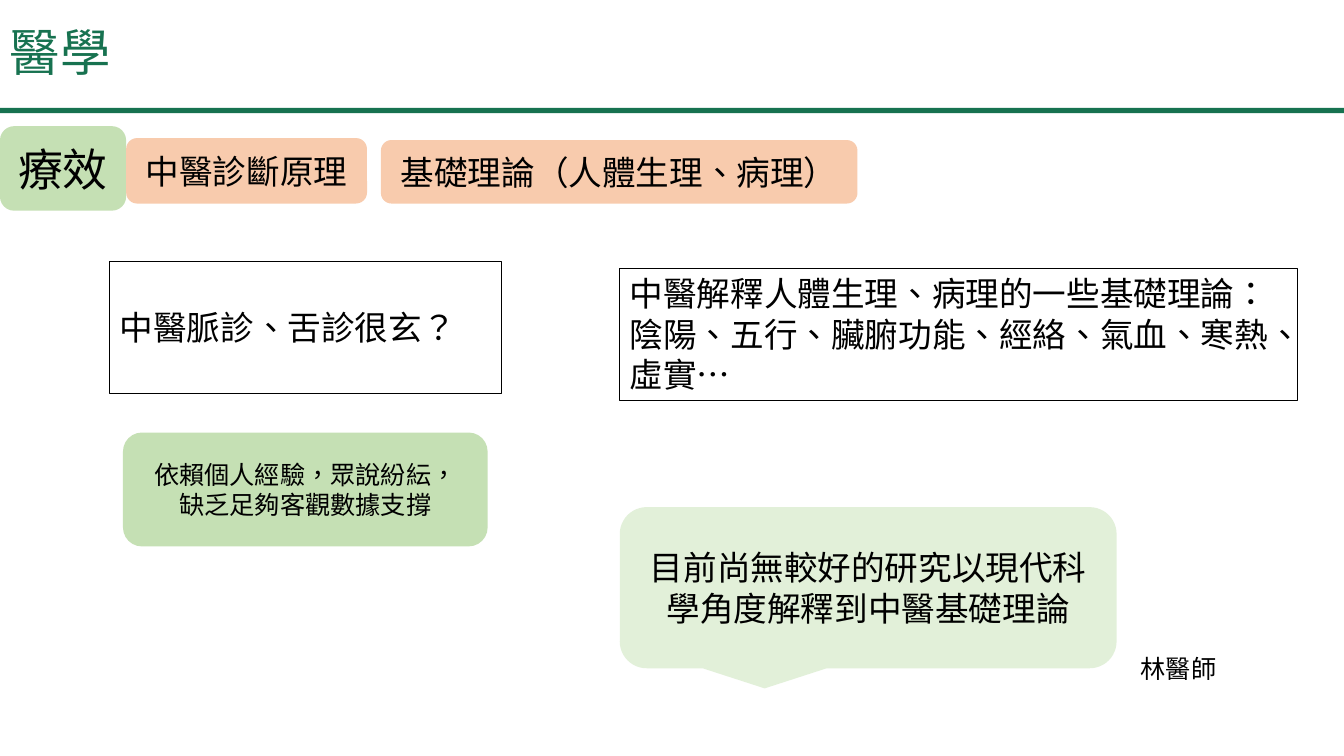
from pptx import Presentation
from pptx.dml.color import RGBColor
from pptx.enum.shapes import MSO_SHAPE
from pptx.enum.text import MSO_ANCHOR, PP_ALIGN
from pptx.oxml.ns import qn
from pptx.util import Cm, Pt
from lxml.etree import SubElement

BLACK = RGBColor(0x00, 0x00, 0x00)
DARK = RGBColor(0x17, 0x72, 0x50)
GREEN = RGBColor(0xC5, 0xE0, 0xB4)
PALE = RGBColor(0xE2, 0xF0, 0xD9)
PEACH = RGBColor(0xF8, 0xCB, 0xAD)


class Deck:
    font = "Noto Sans CJK SC"

    def __init__(self, slide):
        self.slide = slide

    def text(self, shape, lines, size, color=BLACK, align=PP_ALIGN.LEFT,
             anchor=MSO_ANCHOR.MIDDLE, space=1.0):
        frame = shape.text_frame
        frame.word_wrap = True
        frame.vertical_anchor = anchor
        for i, line in enumerate(lines):
            para = frame.add_paragraph() if i else frame.paragraphs[0]
            para.alignment = align
            para.line_spacing = space
            run = para.add_run()
            run.text = line
            run.font.size = Pt(size)
            run.font.color.rgb = color
            run.font.name = self.font
            # East Asian font and language
            props = run._r.get_or_add_rPr()
            props.set("lang", "zh-TW")
            SubElement(props, qn("a:ea")).set("typeface", self.font)

    def shape(self, kind, box, fill=None, line=None):
        shape = self.slide.shapes.add_shape(kind, *map(Cm, box))
        shape.shadow.inherit = False
        if fill is None:
            shape.fill.background()
        else:
            shape.fill.solid()
            shape.fill.fore_color.rgb = fill
        if line is None:
            shape.line.fill.background()
        else:
            shape.line.color.rgb = line
            shape.line.width = Pt(0.75)
        return shape

    def card(self, box, fill, lines, size, kind=MSO_SHAPE.ROUNDED_RECTANGLE):
        self.text(self.shape(kind, box, fill), lines, size,
                  align=PP_ALIGN.CENTER)

    def frame(self, box, lines, anchor):
        shape = self.shape(MSO_SHAPE.RECTANGLE, box, line=BLACK)
        self.text(shape, lines, 24, anchor=anchor)

    def label(self, box, text, size, **style):
        shape = self.slide.shapes.add_textbox(*map(Cm, box))
        self.text(shape, [text], size, **style)


def main():
    prs = Presentation()
    prs.slide_width, prs.slide_height = Cm(33.87), Cm(19.05)
    deck = Deck(prs.slides.add_slide(prs.slide_layouts[6]))

    # Heading and rule
    deck.shape(MSO_SHAPE.RECTANGLE, (0, 2.72, 33.87, 0.13), DARK)
    deck.label((0, 0.05, 29.21, 2.67), "醫學", 36, color=DARK, space=0.9)

    # Topic tags
    deck.card((0, 3.18, 3.18, 2.13), GREEN, ["療效"], 32)
    deck.card((3.18, 3.48, 6.07, 1.65), PEACH, ["中醫診斷原理"], 24)
    deck.card((9.6, 3.53, 12.01, 1.6), PEACH,
              ["基礎理論（人體生理、病理）"], 24)

    # Diagnosis
    deck.frame((2.77, 6.58, 9.86, 3.33), ["中醫脈診、舌診很玄？"],
               MSO_ANCHOR.MIDDLE)
    deck.card((3.1, 10.9, 9.19, 2.87), GREEN,
              ["依賴個人經驗，眾說紛紜，", "缺乏足夠客觀數據支撐"], 18)

    # Basic theory
    deck.frame((15.62, 6.76, 17.09, 3.33),
               ["中醫解釋人體生理、病理的一些基礎理論：",
                "陰陽、五行、臟腑功能、經絡、氣血、寒熱、虛實…"],
               MSO_ANCHOR.TOP)
    deck.card((15.62, 12.78, 12.52, 4.06), PALE,
              ["目前尚無較好的研究以現代科學角度解釋到中醫基礎理論"], 24,
              MSO_SHAPE.ROUNDED_RECTANGULAR_CALLOUT)
    deck.label((28.5, 16.33, 5.2, 1.02), "林醫師", 18,
               anchor=MSO_ANCHOR.TOP)

    prs.save("out.pptx")


if __name__ == "__main__":
    main()
